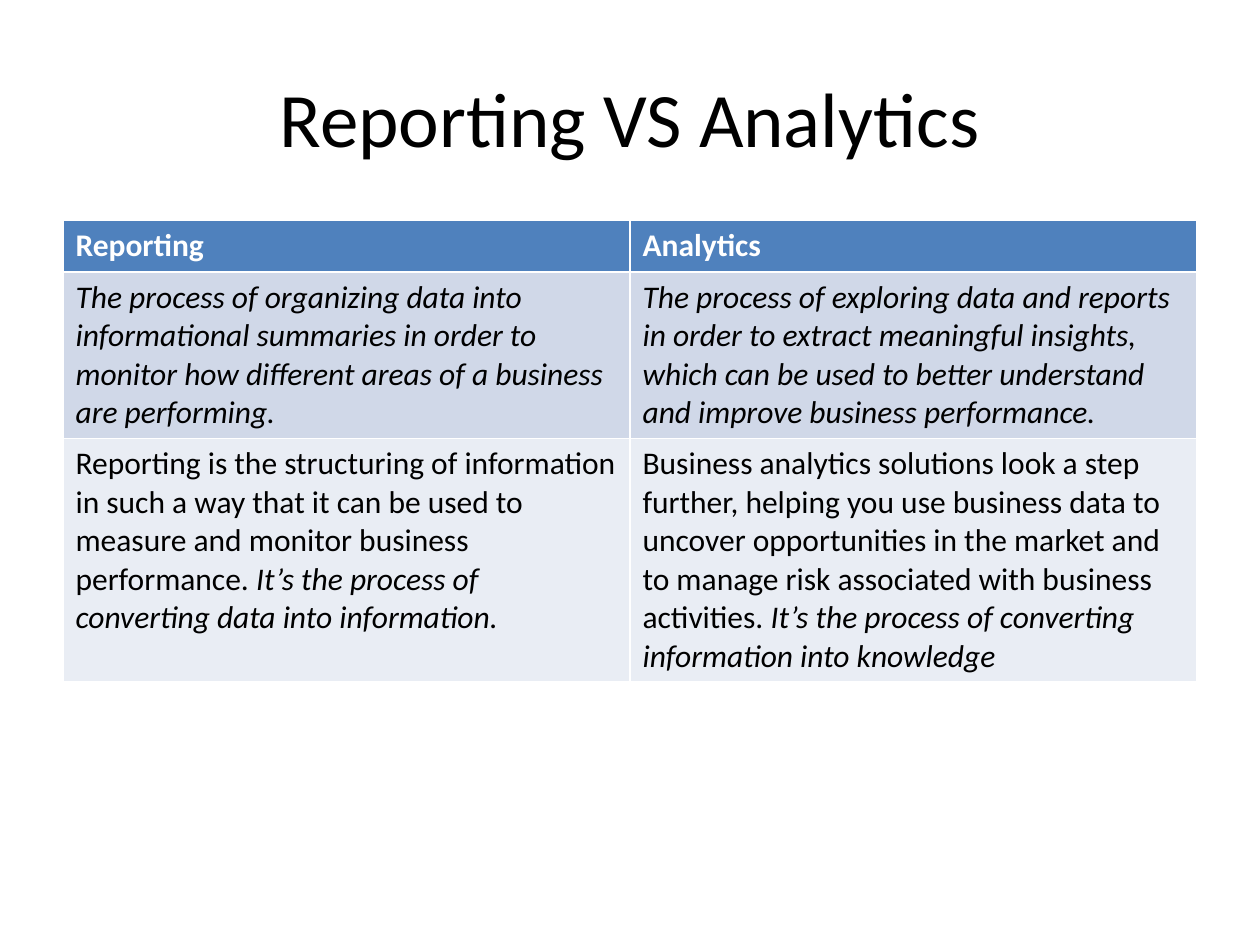
from dataclasses import dataclass

from pptx import Presentation
from pptx import util as u
from pptx.dml import color
from pptx.enum import text

FONT = "Calibri"
BLACK = "000000"
WHITE = "FFFFFF"


@dataclass(frozen=True)
class TextRun:
    words: str
    italic: bool = False


@dataclass(frozen=True)
class TableRow:
    """One row: its fill, its text style and the runs of each cell."""
    fill: str
    cells: tuple[tuple[TextRun, ...], ...]
    font_color: str = BLACK
    bold: bool = False


ROWS = (
    TableRow("4F81BD", ((TextRun("Reporting"),), (TextRun("Analytics"),)), WHITE, True),
    TableRow("D0D8E8", (
        (TextRun("The process of organizing data into informational summaries in order to "
                 "monitor how different areas of a business are performing.", True),),
        (TextRun("The process of exploring data and reports in order to extract meaningful "
                 "insights, which can be used to better understand and improve business "
                 "performance.", True),),
    )),
    TableRow("E9EDF4", (
        (TextRun("Reporting is the structuring of information in such a way that it can be "
                 "used to measure and monitor business performance. "),
         TextRun("It’s the process of converting data into information.", True)),
        (TextRun("Business analytics solutions look a step further, helping you use business "
                 "data to uncover opportunities in the market and to manage risk associated "
                 "with business activities. "),
         TextRun("It’s the process of converting information into knowledge", True)),
    )),
)


def rgb(value: str) -> color.RGBColor:
    return color.RGBColor.from_string(value)


def add_run(paragraph, run: TextRun, size: float, font_color: str, bold: bool = False) -> None:
    text_run = paragraph.add_run()
    text_run.text = run.words
    font = text_run.font
    font.name, font.size = FONT, u.Pt(size)
    font.bold, font.italic = bold, run.italic
    font.color.rgb = rgb(font_color)


def add_title(slide, words: str) -> None:
    title = slide.shapes.title
    title.left, title.top = u.Inches(0.5), u.Inches(0.3)
    title.width, title.height = u.Inches(9), u.Inches(1.25)
    title.text_frame.vertical_anchor = text.MSO_ANCHOR.MIDDLE
    paragraph = title.text_frame.paragraphs[0]
    paragraph.alignment = text.PP_ALIGN.CENTER
    add_run(paragraph, TextRun(words), 44, BLACK)


def add_comparison(slide, rows: tuple[TableRow, ...]) -> None:
    """Add the table; its default style draws the white borders."""
    row_height = u.Inches(0.41)
    table = slide.shapes.add_table(
        len(rows), len(rows[0].cells), u.Inches(0.5), u.Inches(1.75),
        u.Inches(9), row_height * len(rows)).table
    for row_index, row in enumerate(rows):
        for column_index, runs in enumerate(row.cells):
            cell = table.cell(row_index, column_index)
            cell.fill.solid()
            cell.fill.fore_color.rgb = rgb(row.fill)
            for run in runs:
                add_run(cell.text_frame.paragraphs[0], run, 18, row.font_color, row.bold)


def main() -> None:
    presentation = Presentation()
    presentation.slide_width, presentation.slide_height = u.Inches(10), u.Inches(7.5)
    title_only = presentation.slide_layouts[5]
    slide = presentation.slides.add_slide(title_only)
    add_title(slide, "Reporting VS Analytics")
    add_comparison(slide, ROWS)
    presentation.save("out.pptx")


if __name__ == "__main__":
    main()
